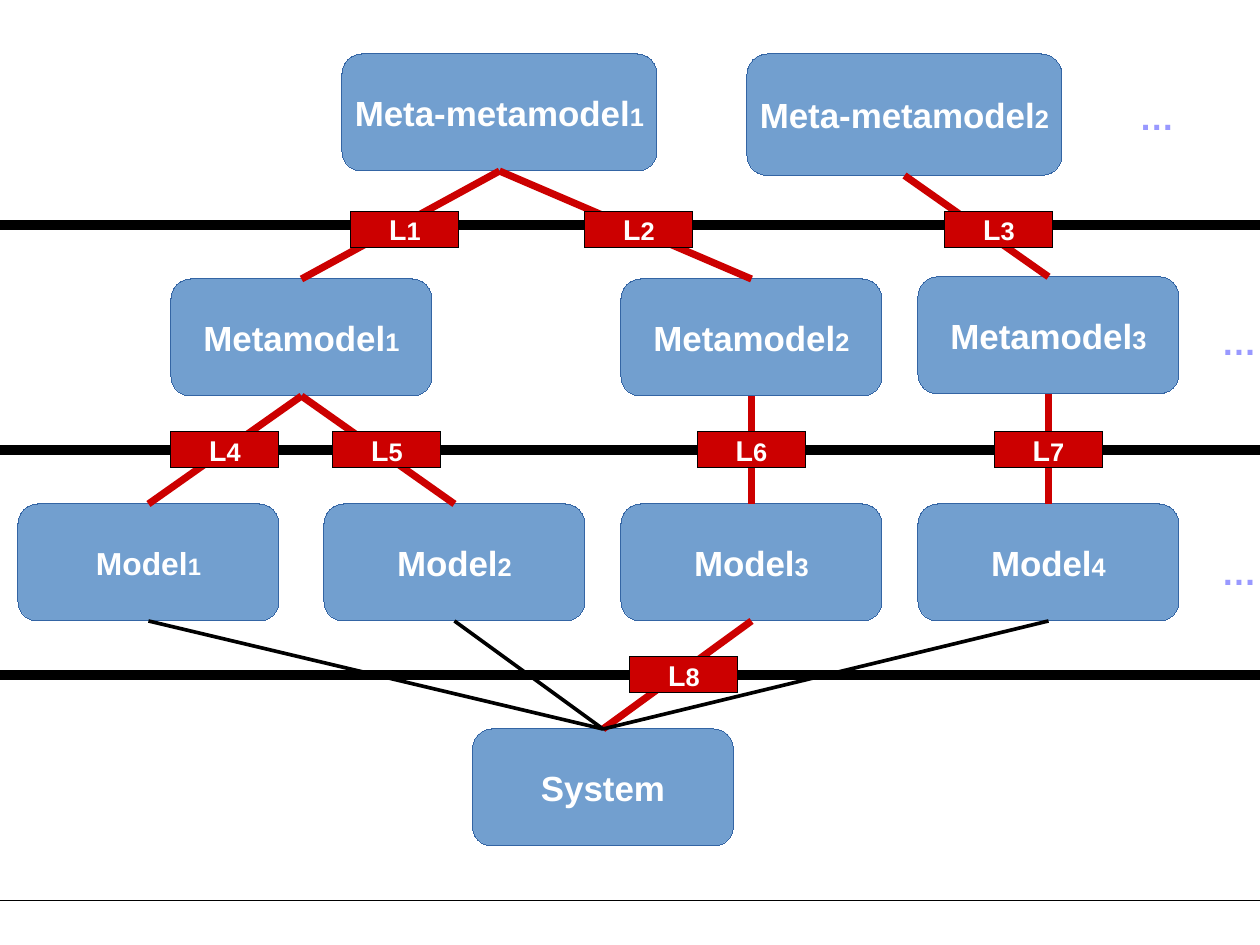
"""Draw the layered metamodel hierarchy as one slide."""
import pptx
import pptx.util
import pptx.dml.color
import pptx.enum.shapes
import pptx.enum.text
import pptx.oxml.ns
import lxml.etree

WIDE, HIGH = 28, 21
ROW, TOP = 5, 1.2
BIG, TALL, MID = (7, 2.6), (7, 2.7), (5.8, 2.6)
TAG, DOT = (2.4, 0.8), (1.27, 1.12)
THEME = {
    "font": "Arial", "white": "FFFFFF", "black": "000000", "red": "CC0000",
    "box": "729FCF", "edge": "3465A4", "dots": "9999FF",
    "name": 22, "sub": 16, "tag": 18, "rule": 6, "link": 4.5, "thin": 2.3, "hair": 0.01,
}
BOXES = {
    "MM1": ("Meta-metamodel", "1", 11.1, 0, BIG, 0),
    "MM2": ("Meta-metamodel", "2", 20.1, 0, TALL, 0),
    "M1": ("Metamodel", "1", 6.7, 1, MID, 0),
    "M2": ("Metamodel", "2", 16.7, 1, MID, 0),
    "M3": ("Metamodel", "3", 23.3, 1, MID, -0.05),
    "A1": ("Model", "1", 3.3, 2, MID, 0),
    "A2": ("Model", "2", 10.1, 2, MID, 0),
    "A3": ("Model", "3", 16.7, 2, MID, 0),
    "A4": ("Model", "4", 23.3, 2, MID, 0),
    "S": ("System", "", 13.4, 3, MID, 0),
}
SMALL = {"A1": (20, 15)}
LINKS = [("MM1", "M1"), ("MM1", "M2"), ("MM2", "M3"), ("M1", "A1"), ("M1", "A2"),
         ("M2", "A3"), ("M3", "A4"), ("A3", "S")]
USES = [("A2", "S"), ("A4", "S"), ("A1", "S")]
TAGS = [(9, 5.1), (14.2, 5.1), (22.2, 5.1), (5, 10), (8.6, 10),
        (16.7, 10), (23.3, 10), (15.2, 15)]
DOTS = [(25.07, 2), (26.9, 7), (26.9, 12.1)]

cm, pt = pptx.util.Cm, pptx.util.Pt
Kind = pptx.enum.shapes.MSO_SHAPE


def tint(key):
    return pptx.dml.color.RGBColor.from_string(THEME[key])


def write(para, runs, color):
    for text, size in runs:
        run = para.add_run()
        run.text = text
        run.font.name, run.font.size, run.font.bold = THEME["font"], pt(size), True
        run.font.color.rgb = tint(color)


def block(kind, mid, top, size, fill, edge, runs):
    shape = art.add_shape(kind, cm(mid - size[0] / 2), cm(top), *map(cm, size))
    shape.shadow.inherit = False
    shape.fill.solid()
    shape.fill.fore_color.rgb = tint(fill)
    shape.line.color.rgb = tint(edge)
    shape.line.width = pt(THEME["hair"])
    frame = shape.text_frame
    frame.word_wrap = False
    frame.vertical_anchor = pptx.enum.text.MSO_ANCHOR.MIDDLE
    frame.paragraphs[0].alignment = pptx.enum.text.PP_ALIGN.CENTER
    write(frame.paragraphs[0], runs, "white")
    return shape


def stroke(start, end, color, width):
    line = art.add_connector(pptx.enum.shapes.MSO_CONNECTOR.STRAIGHT,
                             *map(cm, start + end))
    line.line.color.rgb = tint(color)
    line.line.width = pt(THEME[width])
    lxml.etree.SubElement(line._element.spPr, pptx.oxml.ns.qn("a:effectLst"))
    return line


def join(pair, color, width):
    line = stroke((0, 0), (1, 1), color, width)
    line.begin_connect(nodes[pair[0]], 2)
    line.end_connect(nodes[pair[1]], 0)


deck = pptx.Presentation()
deck.slide_width, deck.slide_height = cm(WIDE), cm(HIGH)
art = deck.slides.add_slide(deck.slide_layouts[6]).shapes

for step in range(1, 5):
    level = step * ROW
    stroke((0, level), (WIDE, level), "black", "rule" if step < 4 else "hair")

nodes = {}
for key, (name, sub, mid, row, size, shift) in BOXES.items():
    main, low = SMALL.get(key, (THEME["name"], THEME["sub"]))
    runs = [(name, main)] + ([(sub, low)] if sub else [])
    nodes[key] = block(Kind.ROUNDED_RECTANGLE, mid, TOP + row * ROW + shift, size,
                       "box", "edge", runs)

for pair in LINKS:
    join(pair, "red", "link")
for pair in USES:
    join(pair, "black", "thin")

for num, (mid, level) in enumerate(TAGS, 1):
    block(Kind.RECTANGLE, mid, level - TAG[1] / 2, TAG, "red", "black",
          [("L", THEME["tag"]), (str(num), THEME["sub"])])

for spot in DOTS:
    frame = art.add_textbox(*map(cm, spot + DOT)).text_frame
    frame.word_wrap = False
    frame.auto_size = pptx.enum.text.MSO_AUTO_SIZE.SHAPE_TO_FIT_TEXT
    write(frame.paragraphs[0], [("…", THEME["name"])], "dots")

deck.save("out.pptx")
